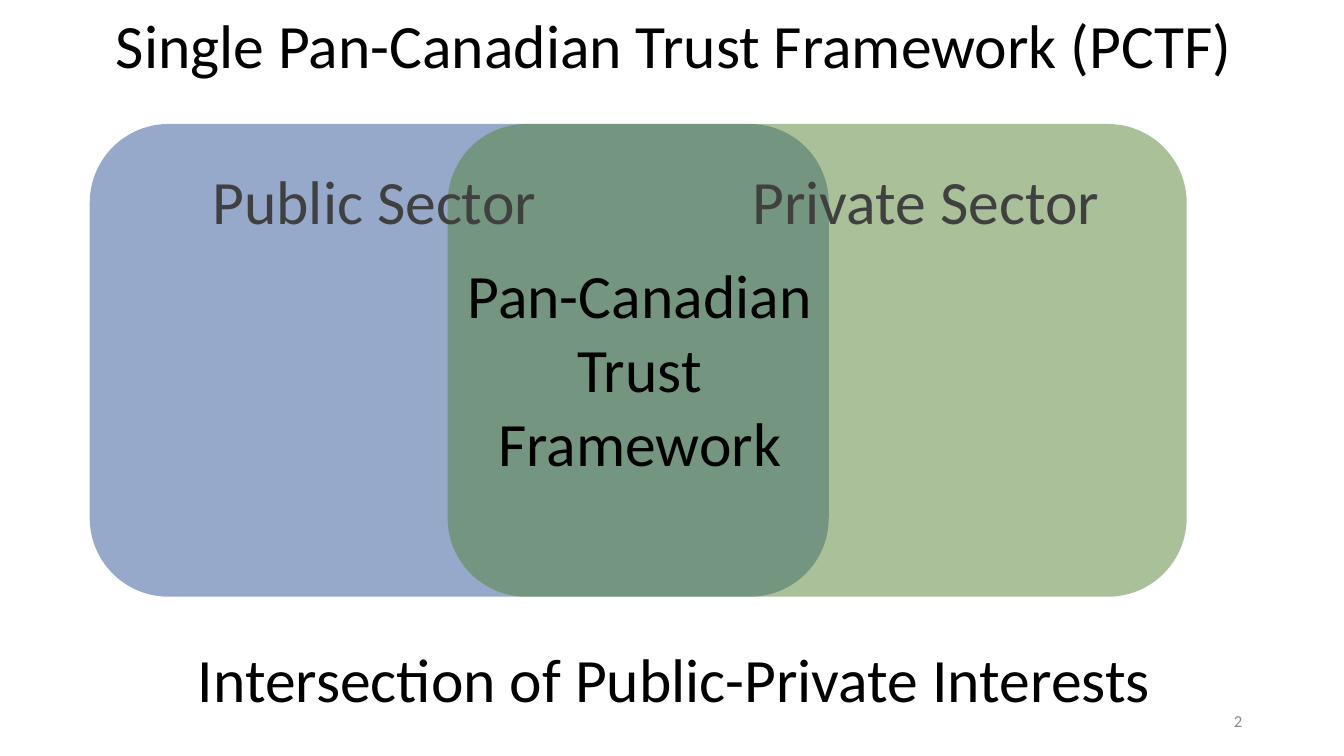
from lxml.etree import SubElement
from pptx import Presentation
from pptx.dml.color import RGBColor
from pptx.enum.shapes import MSO_SHAPE
from pptx.enum.text import MSO_ANCHOR, PP_ALIGN
from pptx.oxml.ns import qn
from pptx.util import Inches, Pt

THEME = {
    "font": "Calibri",
    "large": 44, "small": 12,
    "black": "000000", "label": "404040", "number": "8C8C8C",
    "public": "2F5597", "private": "548235",
    "opacity": 50,
}

# Content: sectors from left to right, then the text around them
SECTORS = [("Public Sector", "public"), ("Private Sector", "private")]
SHARED = "Pan-Canadian\vTrust\vFramework"
BANNERS = [("Single Pan-Canadian Trust Framework (PCTF)", -0.24),
           ("Intersection of Public-Private Interests", 6.05)]
PAGE_NUMBER = "2"

# Layout in inches
SECTOR_LEFT, SECTOR_TOP, SECTOR_STEP = 0.89, 1.23, 3.55
SECTOR_SIZE = (7.33, 4.69)
LABEL_LEFT, LABEL_TOP, LABEL_STEP = 1.46, 1.57, 5.47
LABEL_SIZE = (4.51, 0.84)
SHARED_AREA = (4.09, 2.5, 4.51, 2.32)
BANNER_LEFT, BANNER_SIZE = 0.94, (11.5, 1.45)
NUMBER_AREA = (9.42, 6.95, 3, 0.4)

TOP = {"word_wrap": True, "vertical_anchor": MSO_ANCHOR.TOP}
MIDDLE = {"word_wrap": True, "vertical_anchor": MSO_ANCHOR.MIDDLE}
CENTERED = {"alignment": PP_ALIGN.CENTER}
BANNER = {"alignment": PP_ALIGN.CENTER, "line_spacing": 0.9}
RIGHT = {"alignment": PP_ALIGN.RIGHT}


def apply_format(target, values):
    """Set each named attribute on the target."""
    for name, value in values.items():
        setattr(target, name, value)


def add_text(page, text, area, color, frame_format=TOP,
             para_format=CENTERED, size="large"):
    """Add a text box in one style."""
    box = page.shapes.add_textbox(*map(Inches, area))
    frame = box.text_frame
    apply_format(frame, frame_format)
    para = frame.paragraphs[0]
    para.text = text
    apply_format(para, para_format)
    for span in para.runs:
        apply_format(span.font, {"name": THEME["font"],
                                 "size": Pt(THEME[size])})
        span.font.color.rgb = RGBColor.from_string(THEME[color])


def add_sector(page, area, color):
    """Add a translucent rounded panel."""
    panel = page.shapes.add_shape(MSO_SHAPE.ROUNDED_RECTANGLE,
                                  *map(Inches, area))
    panel.shadow.inherit = False
    panel.line.fill.background()
    panel.fill.solid()
    panel.fill.fore_color.rgb = RGBColor.from_string(THEME[color])
    tint = panel.fill._xPr.find(qn("a:solidFill"))[0]
    SubElement(tint, qn("a:alpha"), val=str(THEME["opacity"] * 1000))


def build_deck():
    """Build the one-page deck."""
    deck = Presentation()
    apply_format(deck, {"slide_width": Inches(13.33),
                        "slide_height": Inches(7.5)})
    page = deck.slides.add_slide(deck.slide_layouts[6])

    for index, (_, color) in enumerate(SECTORS):
        left = SECTOR_LEFT + index * SECTOR_STEP
        add_sector(page, (left, SECTOR_TOP, *SECTOR_SIZE), color)
    for text, top in BANNERS:
        add_text(page, text, (BANNER_LEFT, top, *BANNER_SIZE), "black",
                 MIDDLE, BANNER)
    for index, (text, _) in enumerate(SECTORS):
        left = LABEL_LEFT + index * LABEL_STEP
        add_text(page, text, (left, LABEL_TOP, *LABEL_SIZE), "label")
    add_text(page, SHARED, SHARED_AREA, "black")
    add_text(page, PAGE_NUMBER, NUMBER_AREA, "number", MIDDLE, RIGHT, "small")
    return deck


build_deck().save("out.pptx")
